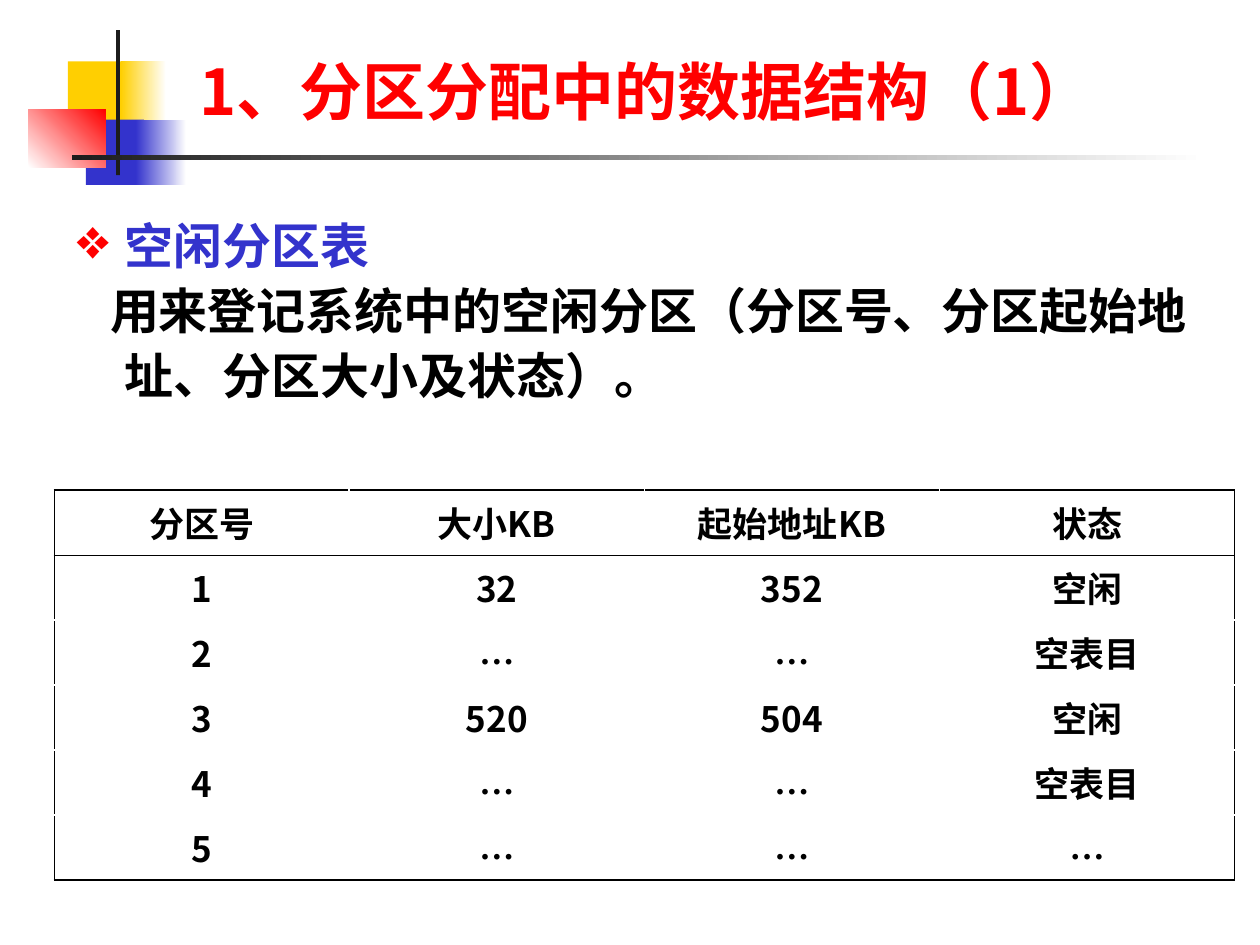
"""Build a slide on the free partition table used in partition allocation."""
from lxml import etree
from pptx import Presentation
from pptx import util as u
from pptx.dml.color import RGBColor
from pptx.enum import shapes, text
from pptx.oxml.ns import qn

RED = RGBColor(0xFF, 0x00, 0x00)
BLUE = RGBColor(0x33, 0x33, 0xCC)
YELLOW = RGBColor(0xFF, 0xCF, 0x01)
DARK = RGBColor(0x1C, 0x1C, 0x1C)
WHITE = RGBColor(0xFF, 0xFF, 0xFF)
BLACK = RGBColor(0x00, 0x00, 0x00)
SANS, SERIF = "Noto Sans CJK SC", "Times New Roman"


def write(para, words, size, color, latin=SANS):
    span = para.add_run()
    span.text = words
    span.font.color.rgb = color
    for name, value in {"size": u.Pt(size), "bold": True, "name": latin}.items():
        setattr(span.font, name, value)
    etree.SubElement(span.font._element, qn("a:ea"), typeface=SANS)


def add_border(cell, side, points):
    line = etree.SubElement(cell._tc.get_or_add_tcPr(), qn(f"a:ln{side}"), w=str(u.Pt(points)))
    fill = etree.SubElement(line, qn("a:solidFill"))
    etree.SubElement(fill, qn("a:srgbClr"), val=str(BLACK))


deck = Presentation()
deck.slide_width, deck.slide_height = u.Cm(25.4), u.Cm(19.05)
page = deck.slides.add_slide(deck.slide_layouts[5])

ornaments = [
    (1.37, 1.24, 1.22, 1.32, [YELLOW], 0),
    (2.44, 1.24, 0.91, 1.32, [YELLOW, WHITE], 0),
    (1.73, 2.41, 1.17, 1.32, [BLUE], 0),
    (2.74, 2.41, 1.02, 1.32, [BLUE, WHITE], 0),
    (0.58, 2.21, 1.55, 1.17, [WHITE, RED], 45),
    (2.34, 0.61, 0.08, 2.92, [DARK], 0),
    (1.45, 3.13, 22.86, 0.09, [DARK, WHITE], 0),
]
for *place, colors, angle in ornaments:
    block = page.shapes.add_shape(shapes.MSO_SHAPE.RECTANGLE, *map(u.Cm, place))
    block.shadow.inherit = False
    block.line.fill.background()
    if len(colors) == 1:
        block.fill.solid()
        block.fill.fore_color.rgb = colors[0]
    else:
        block.fill.gradient()
        block.fill.gradient_angle = angle
        for stop, color in zip(block.fill.gradient_stops, colors):
            stop.color.rgb = color

title = page.shapes.title
title_place = {"left": 3.76, "top": 1.22, "width": 21.64, "height": 1.5}
for name, value in title_place.items():
    setattr(title, name, u.Cm(value))
title_format = {
    "vertical_anchor": text.MSO_ANCHOR.BOTTOM,
    "auto_size": text.MSO_AUTO_SIZE.NONE,
    "word_wrap": True,
}
for name, value in title_format.items():
    setattr(title.text_frame, name, value)
heading = title.text_frame.paragraphs[0]
heading.alignment = text.PP_ALIGN.LEFT
write(heading, "1、分区分配中的数据结构（1）", 36, RED)

box = page.shapes.add_textbox(u.Cm(1.3), u.Cm(4.11), u.Cm(23.06), u.Cm(5.51))
box.text_frame.word_wrap = True
topic = box.text_frame.paragraphs[0]
explanation = box.text_frame.add_paragraph()
for para, indent in ((topic, -0.97), (explanation, -0.3)):
    para.line_spacing = 1.1
    properties = para._p.get_or_add_pPr()
    properties.set("marL", str(u.Cm(0.97)))
    properties.set("indent", str(u.Cm(indent)))
bullet = topic._p.get_or_add_pPr()
bullet_color = etree.SubElement(bullet, qn("a:buClr"))
etree.SubElement(bullet_color, qn("a:srgbClr"), val=str(RED))
etree.SubElement(bullet, qn("a:buSzPct"), val="115000")
etree.SubElement(bullet, qn("a:buChar"), char="❖")
write(topic, "空闲分区表", 28, BLUE)
write(explanation, "用来登记系统中的空闲分区（分区号、分区起始地址、分区大小及状态）。", 28, BLACK)

rows = [
    ["分区号", "大小KB", "起始地址KB", "状态"],
    ["1", "32", "352", "空闲"],
    ["2", "…", "…", "空表目"],
    ["3", "520", "504", "空闲"],
    ["4", "…", "…", "空表目"],
    ["5", "…", "…", "…"],
]
last_row, last_column = len(rows) - 1, len(rows[0]) - 1
table = page.shapes.add_table(
    len(rows), len(rows[0]), u.Cm(1.09), u.Cm(9.88), u.Cm(23.8), u.Cm(7.86)
).table
table.first_row = table.horz_banding = False
for r, row in enumerate(rows):
    for c, words in enumerate(row):
        cell = table.cell(r, c)
        cell.vertical_anchor = text.MSO_ANCHOR.MIDDLE
        if c == 0:
            add_border(cell, "L", 0.45)
        if c == last_column:
            add_border(cell, "R", 0.45)
        if r <= 1:
            add_border(cell, "T", 1.08 if r == 0 else 0.45)
        if r in (0, last_row):
            add_border(cell, "B", 0.45 if r == 0 else 1.08)
        cell.fill.background()
        para = cell.text_frame.paragraphs[0]
        para.alignment = text.PP_ALIGN.CENTER
        write(para, words, 20, BLACK, SERIF if words == "…" else SANS)

deck.save("out.pptx")
